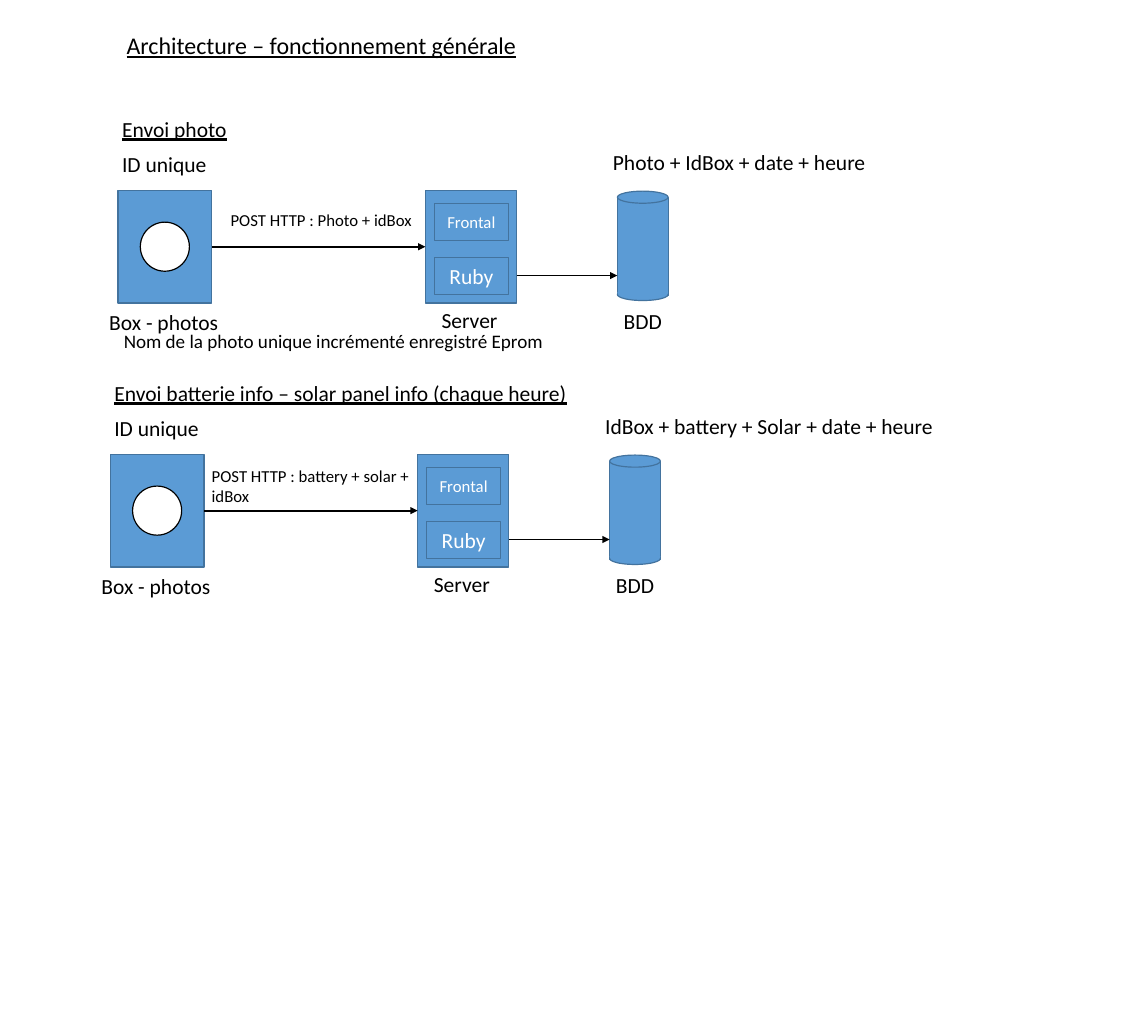
from lxml import etree
from pptx import Presentation
from pptx.dml.color import RGBColor
from pptx.enum.shapes import MSO_CONNECTOR, MSO_SHAPE
from pptx.enum.text import MSO_ANCHOR, MSO_AUTO_SIZE, PP_ALIGN
from pptx.oxml.ns import qn
from pptx.util import Inches, Pt

RECT, OVAL = MSO_SHAPE.RECTANGLE, MSO_SHAPE.OVAL
STRAIGHT = MSO_CONNECTOR.STRAIGHT
LEFT, CENTER = PP_ALIGN.LEFT, PP_ALIGN.CENTER
TOP, MIDDLE = MSO_ANCHOR.TOP, MSO_ANCHOR.MIDDLE
FIT_SHAPE = MSO_AUTO_SIZE.SHAPE_TO_FIT_TEXT
LEFT_SITE, RIGHT_SITE = 1, 3

CELL = 0.1  # inches: side of one grid cell
SLIDE_COLS, SLIDE_ROWS = 133.33, 118.1
FONT = "Calibri"
BLUE, NAVY, BLACK, WHITE = "5B9BD5", "43739E", "000000", "FFFFFF"


def cells(*counts):
    """Turn counts of grid cells into lengths."""
    return [Inches(count * CELL) for count in counts]


def color(hex_code):
    """Turn a hex string into a colour."""
    return RGBColor.from_string(hex_code)


def set_attributes(target, values):
    """Set each attribute of target from a dict."""
    for attribute, value in values.items():
        setattr(target, attribute, value)


def write(frame, wording, size, ink=BLACK, align=LEFT, anchor=TOP,
          underline=False, wrap=False):
    """Put one formatted paragraph into a text frame."""
    set_attributes(frame, {"word_wrap": wrap, "vertical_anchor": anchor})
    paragraph = frame.paragraphs[0]
    paragraph.alignment = align
    run = paragraph.add_run()
    run.text = wording
    set_attributes(run.font, {"name": FONT, "size": Pt(size), "underline": underline})
    run.font.color.rgb = color(ink)


def add_label(slide, area, wording, size=18, **style):
    """Add free text in an area given in cells."""
    frame = slide.shapes.add_textbox(*cells(*area)).text_frame
    write(frame, wording, size, **style)
    frame.auto_size = FIT_SHAPE


def add_block(shapes, preset, area, fill=BLUE, outline=NAVY):
    """Add a filled preset shape; outline None leaves its edge bare."""
    block = shapes.add_shape(preset, *cells(*area))
    block.shadow.inherit = False
    block.fill.solid()
    block.fill.fore_color.rgb = color(fill)
    if outline:
        block.line.color.rgb = color(outline)
        block.line.width = Pt(1)
    else:
        block.line.fill.background()
    return block


def add_arrow(slide, start, end):
    """Add a black arrow between two grid points."""
    arrow = slide.shapes.add_connector(STRAIGHT, *cells(*start, *end))
    arrow.line.color.rgb = color(BLACK)
    arrow.line.width = Pt(1.5)
    line = arrow.line._get_or_add_ln()
    etree.SubElement(line, qn("a:tailEnd"), type="triangle")
    etree.SubElement(arrow._element.spPr, qn("a:effectLst"))
    return arrow


def add_database(slide, x, y):
    """Add a cylinder grouped from a body and its rims."""
    parts = slide.shapes.add_group_shape().shapes
    width, rim = 5.9, 1.4
    add_block(parts, RECT, (x, y + 0.8, width, 11.3))
    add_block(parts, OVAL, (x, y + 11.3, width, rim))
    add_block(parts, OVAL, (x, y + 11.1, width, rim), outline=None)
    add_block(parts, OVAL, (x, y, width, rim))


def add_title(slide, wording):
    """Place and format the title placeholder."""
    title = slide.shapes.title
    places = cells(13.7, 3.1, 47.8, 4.4)
    set_attributes(title, dict(zip(("left", "top", "width", "height"), places)))
    write(title.text_frame, wording, 20, underline=True)


def add_flow(slide, x, y, heading, stored, request, request_area, heading_width):
    """Add one box-to-server-to-database flow with its origin at (x, y)."""
    body_height = 13.1
    box = add_block(slide.shapes, RECT, (x, y, 10.9, body_height))
    add_block(slide.shapes, OVAL, (x + 2.6, y + 3.7, 5.7, 5.7), WHITE, BLACK)
    server = add_block(slide.shapes, RECT, (x + 35.7, y, 10.6, body_height))
    for wording, size, row in (("Frontal", 14, 1.5), ("Ruby", 18, 7.8)):
        service = add_block(slide.shapes, RECT, (x + 36.75, y + row, 8.6, 4.3))
        write(service.text_frame, wording, size, WHITE, CENTER, MIDDLE, wrap=True)
    add_database(slide, x + 58, y + 0.1)

    middle = y + body_height / 2
    upload = add_arrow(slide, (x + 10.9, middle), (x + 35.7, middle))
    upload.begin_connect(box, RIGHT_SITE)
    upload.end_connect(server, LEFT_SITE)
    add_arrow(slide, (x + 46.3, y + 9.9), (x + 58, y + 9.9))

    column, row, width, height = request_area
    add_label(slide, (x + column, y + row, width, height), request, 14, wrap=True)
    add_label(slide, (x - 0.5, y - 9.15, heading_width, 4), heading, underline=True)
    captions = (
        ("ID unique", -0.5, -5, 12, LEFT),
        (stored[0], 56.5, -5.3, stored[1], LEFT),
        ("Box - photos", -2, 13.25, 14.8, LEFT),
        ("Server", 36.6, 13.05, 8.6, LEFT),
        ("BDD", 57.7, 13.2, 6.5, CENTER),
    )
    for wording, column, row, width, align in captions:
        add_label(slide, (x + column, y + row, width, 4), wording, align=align)


def main():
    """Build the slide and save it."""
    deck = Presentation()
    deck.slide_width, deck.slide_height = cells(SLIDE_COLS, SLIDE_ROWS)
    slide = deck.slides.add_slide(deck.slide_layouts.get_by_name("Title Only"))
    add_title(slide, "Architecture – fonctionnement générale")
    add_flow(slide, 13.7, 22.1, "Envoi photo",
             ("Photo + IdBox + date + heure", 31.7),
             "POST HTTP : Photo + idBox", (12.1, 1.8, 23.6, 3.4), 14.3)
    add_label(slide, (13.4, 37.8, 51.3, 3.7),
              "Nom de la photo unique incrémenté enregistré Eprom", 16)
    add_flow(slide, 12.8, 52.75, "Envoi batterie info – solar panel info (chaque heure)",
             ("IdBox + battery + Solar + date + heure", 40.6),
             "POST HTTP : battery + solar + idBox", (10.8, 0.85, 28.3, 5.7), 71.1)
    deck.save("out.pptx")


main()
